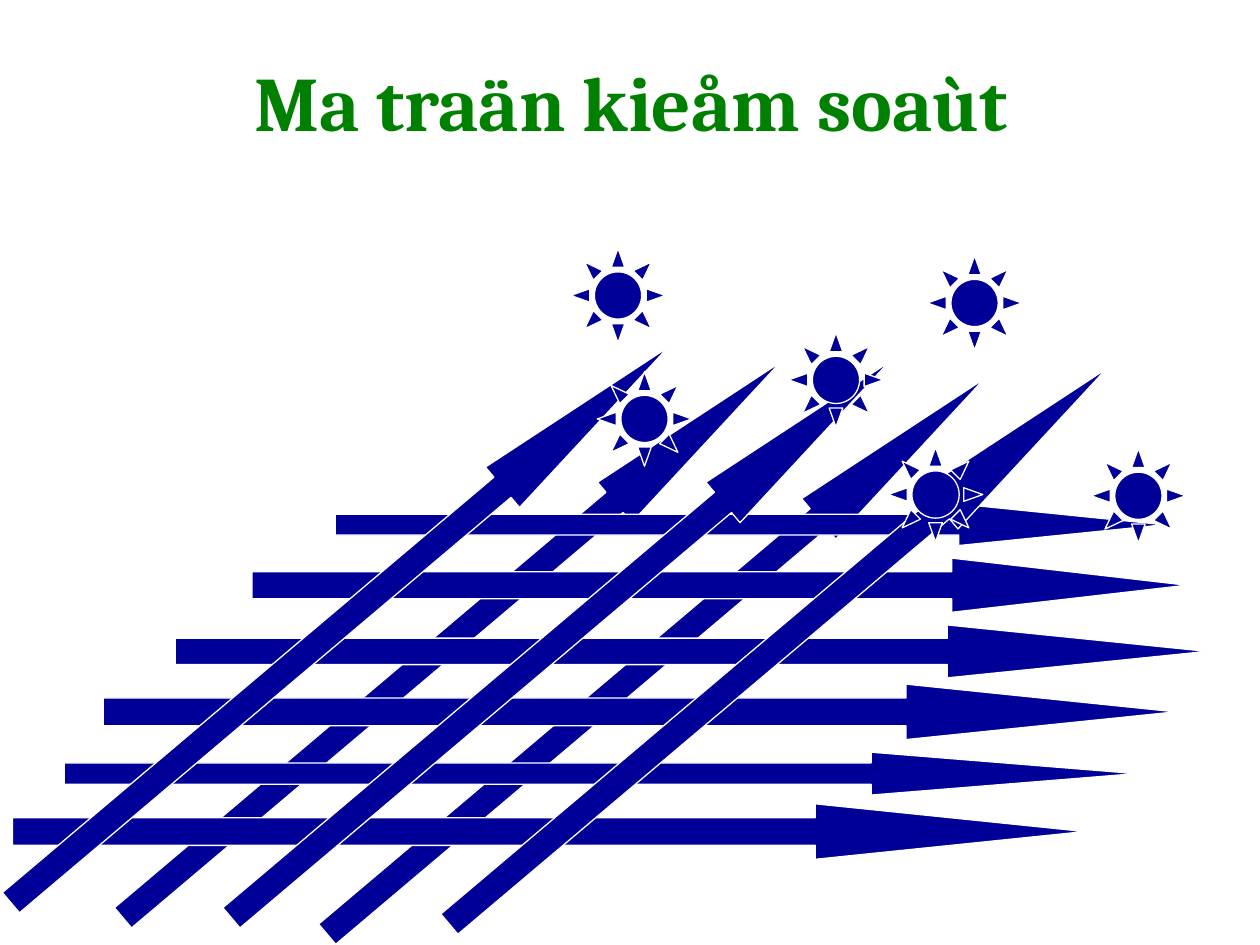
from pptx import Presentation
from pptx import util as u
from pptx.dml.color import RGBColor
from pptx.enum import shapes, text

NAVY = RGBColor(0x00, 0x00, 0x99)
GREEN = RGBColor(0x00, 0x80, 0x00)
WHITE = RGBColor(0xFF, 0xFF, 0xFF)

SLANT = 319.8
SLANT_W, SLANT_H, SLANT_HEAD = 6.83, 0.42, 4.1
SUN_SIZE = 0.75

# left, top of the slanted arrows
SLANTS_BEHIND = [(1.79, 5), (0.17, 4.87)]
SLANTS_FRONT = [(-0.72, 4.75), (1.03, 4.87), (2.76, 4.92)]
# left, top, width, height, head length relative to height
LEVEL_ARROWS = [
    (2.66, 4, 6.58, 0.33, 4.94),
    (2, 4.43, 7.42, 0.43, 4.34),
    (1.39, 4.96, 8.19, 0.42, 4.91),
    (0.82, 5.43, 8.51, 0.44, 4.86),
    (0.51, 5.97, 8.51, 0.34, 6.19),
    (0.1, 6.38, 8.51, 0.44, 4.86),
]
# left, top
SUNS = [(4.53, 1.97), (4.74, 2.95), (7.36, 2.03),
        (6.26, 2.64), (7.05, 3.55), (8.66, 3.56)]


class Board:
    """Current slide with the navy style of its shapes."""

    def __init__(self, slide, font="Cambria"):
        self.s = slide
        self.font = font

    def shape(self, kind, x, y, w, h, adjustments):
        sp = self.s.shapes.add_shape(
            kind, u.Inches(x), u.Inches(y), u.Inches(w), u.Inches(h))
        for i, value in enumerate(adjustments):
            sp.adjustments[i] = value
        sp.shadow.inherit = False
        sp.fill.solid()
        sp.fill.fore_color.rgb = NAVY
        sp.line.color.rgb = WHITE
        sp.line.width = u.Pt(0.75)
        return sp

    def arrow(self, x, y, w, h, head, rotation=0):
        sp = self.shape(shapes.MSO_SHAPE.RIGHT_ARROW, x, y, w, h, [0.5, head])
        sp.rotation = rotation

    def slanted_arrow(self, x, y):
        self.arrow(x, y, SLANT_W, SLANT_H, SLANT_HEAD, SLANT)

    def sun(self, x, y):
        self.shape(shapes.MSO_SHAPE.SUN, x, y, SUN_SIZE, SUN_SIZE, [0.25])

    def title(self, words, x, y, w, h):
        sp = self.s.shapes.add_textbox(
            u.Inches(x), u.Inches(y), u.Inches(w), u.Inches(h))
        tf = sp.text_frame
        tf.word_wrap = True
        tf.vertical_anchor = text.MSO_ANCHOR.MIDDLE
        p = tf.paragraphs[0]
        p.alignment = text.PP_ALIGN.LEFT
        r = p.add_run()
        r.text = words
        r.font.name = self.font
        r.font.size = u.Pt(44)
        r.font.bold = True
        r.font.color.rgb = GREEN


def main():
    prs = Presentation()
    prs.slide_width, prs.slide_height = u.Inches(10), u.Inches(7.5)
    board = Board(prs.slides.add_slide(prs.slide_layouts[6]))

    for place in SLANTS_BEHIND:
        board.slanted_arrow(*place)
    board.title("Ma traän kieåm soaùt", 1.92, 0, 8.08, 1.6)
    for level in LEVEL_ARROWS:
        board.arrow(*level)
    for place in SLANTS_FRONT:
        board.slanted_arrow(*place)
    for place in SUNS:
        board.sun(*place)

    prs.save("out.pptx")


if __name__ == "__main__":
    main()
